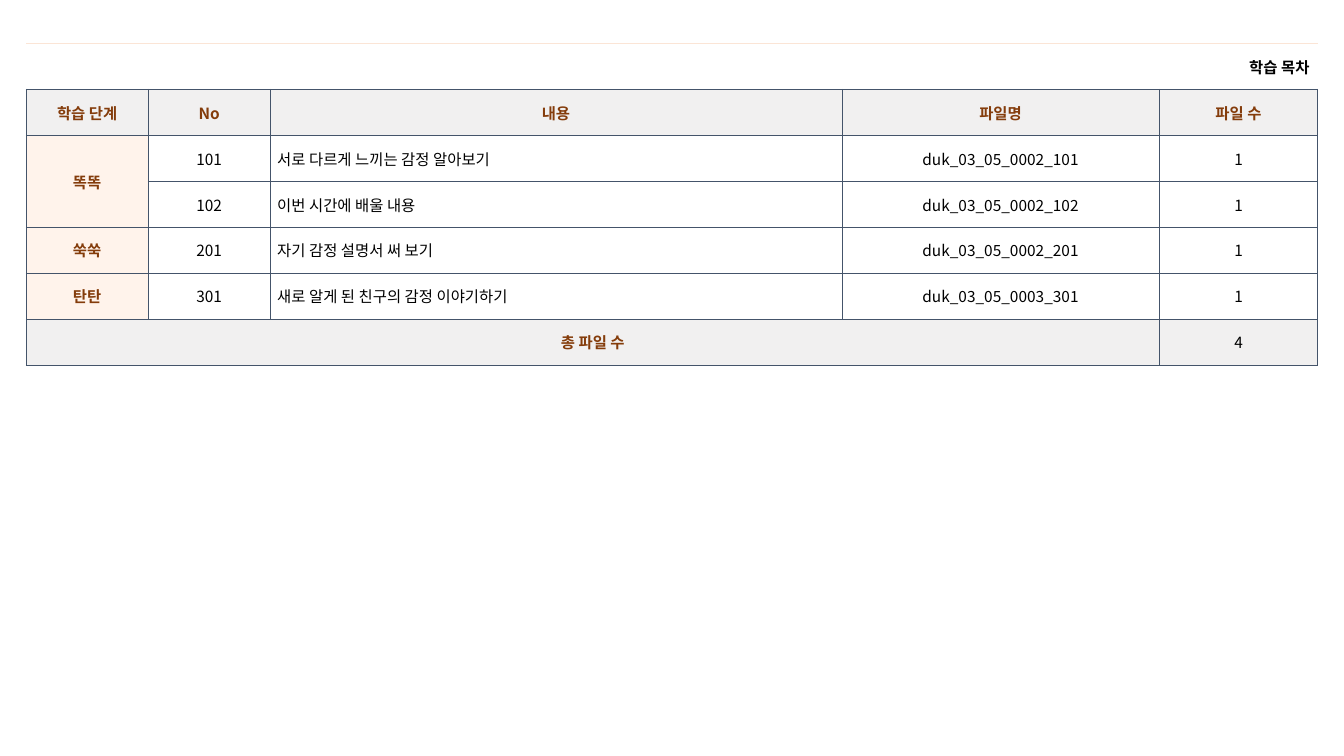
from dataclasses import dataclass
from typing import Optional

from lxml.etree import SubElement as Sub
from pptx import Presentation
from pptx.dml.color import RGBColor
from pptx.enum.text import MSO_ANCHOR as Anchor, PP_ALIGN as Align
from pptx.oxml.ns import qn
from pptx.util import Inches, Pt

FONT = "Noto Sans CJK KR"
BLACK, BROWN, WHITE = "000000", "843C0B", "FFFFFF"
GRAY, PEACH, NAVY, PALE = "F1F0F0", "FFF3EB", "44546A", "FBE5D6"
COLS = (1.21, 1.21, 5.67, 3.15, 1.57)
ROWS, ROW_H = 7, 0.456
LEFT, TOP = 0.26, 0.43


@dataclass
class Item:
    row: int
    col: int
    text: str
    fill: Optional[str] = WHITE
    color: str = BLACK
    bold: bool = False
    align: Align = Align.CENTER
    down: int = 1
    wide: int = 1
    pad: float = 0.07


def rgb(code: str) -> RGBColor:
    return RGBColor.from_string(code)


def edge(cell, side: str, color: Optional[str], width: float = 0.5) -> None:
    line = Sub(cell._tc.get_or_add_tcPr(), qn(f"a:ln{side}"), w=str(Pt(width)))
    if color is None:
        Sub(line, qn("a:noFill"))
    else:
        Sub(Sub(line, qn("a:solidFill")), qn("a:srgbClr"), val=color)


def write(table, item: Item) -> None:
    cell = table.cell(item.row, item.col)
    if item.down * item.wide > 1:
        cell.merge(table.cell(item.row + item.down - 1, item.col + item.wide - 1))
    if item.fill:
        cell.fill.solid()
        cell.fill.fore_color.rgb = rgb(item.fill)
    else:
        cell.fill.background()
    cell.vertical_anchor = Anchor.MIDDLE
    cell.margin_left = cell.margin_right = Inches(item.pad)
    cell.margin_top = cell.margin_bottom = Inches(0.05)
    para = cell.text_frame.paragraphs[0]
    para.alignment = item.align
    run = para.add_run()
    run.text = item.text
    font = run.font
    font.size, font.bold, font.name = Pt(11), item.bold, FONT
    font.color.rgb = rgb(item.color)
    Sub(run._r.get_or_add_rPr(), qn("a:ea"), typeface=FONT)


def label(row: int, col: int, text: str, fill: str, down: int = 1, wide: int = 1) -> Item:
    return Item(row, col, text, fill, BROWN, True, down=down, wide=wide)


# Table contents
HEADS = ("학습 단계", "No", "내용", "파일명", "파일 수")
FILES = (
    ("101", "서로 다르게 느끼는 감정 알아보기", "duk_03_05_0002_101", "1"),
    ("102", "이번 시간에 배울 내용", "duk_03_05_0002_102", "1"),
    ("201", "자기 감정 설명서 써 보기", "duk_03_05_0002_201", "1"),
    ("301", "새로 알게 된 친구의 감정 이야기하기", "duk_03_05_0003_301", "1"),
)
items = [Item(0, 0, "학습 목차", None, BLACK, True, Align.RIGHT, wide=5, pad=0.08)]
items += [label(1, col, text, GRAY) for col, text in enumerate(HEADS)]
items += [
    label(2, 0, "똑똑", PEACH, down=2),
    label(4, 0, "쑥쑥", PEACH),
    label(5, 0, "탄탄", PEACH),
    label(6, 0, "총 파일 수", GRAY, wide=4),
    Item(6, 4, "4", GRAY),
]
items += [
    Item(row, col, text, align=Align.LEFT if col == 2 else Align.CENTER)
    for row, line in enumerate(FILES, 2)
    for col, text in enumerate(line, 1)
]

# Slide and grid
deck = Presentation()
deck.slide_width, deck.slide_height = Inches(13.33), Inches(7.5)
slide = deck.slides.add_slide(deck.slide_layouts[6])
table = slide.shapes.add_table(
    ROWS, len(COLS), Inches(LEFT), Inches(TOP), Inches(sum(COLS)), Inches(ROWS * ROW_H)
).table
table.first_row = table.horz_banding = False
for col, width in zip(table.columns, COLS):
    col.width = Inches(width)
for row in table.rows:
    row.height = Inches(ROW_H)

# Borders: the title row is open at its sides
for row in range(ROWS):
    for col in range(len(COLS)):
        cell = table.cell(row, col)
        for side in "LRTB":
            if row == 0 and side in "LR":
                edge(cell, side, None)
            elif row == 0 and side == "T":
                edge(cell, side, PALE, 0.25)
            else:
                edge(cell, side, NAVY)

# Text and fills
for item in items:
    write(table, item)

deck.save("out.pptx")
